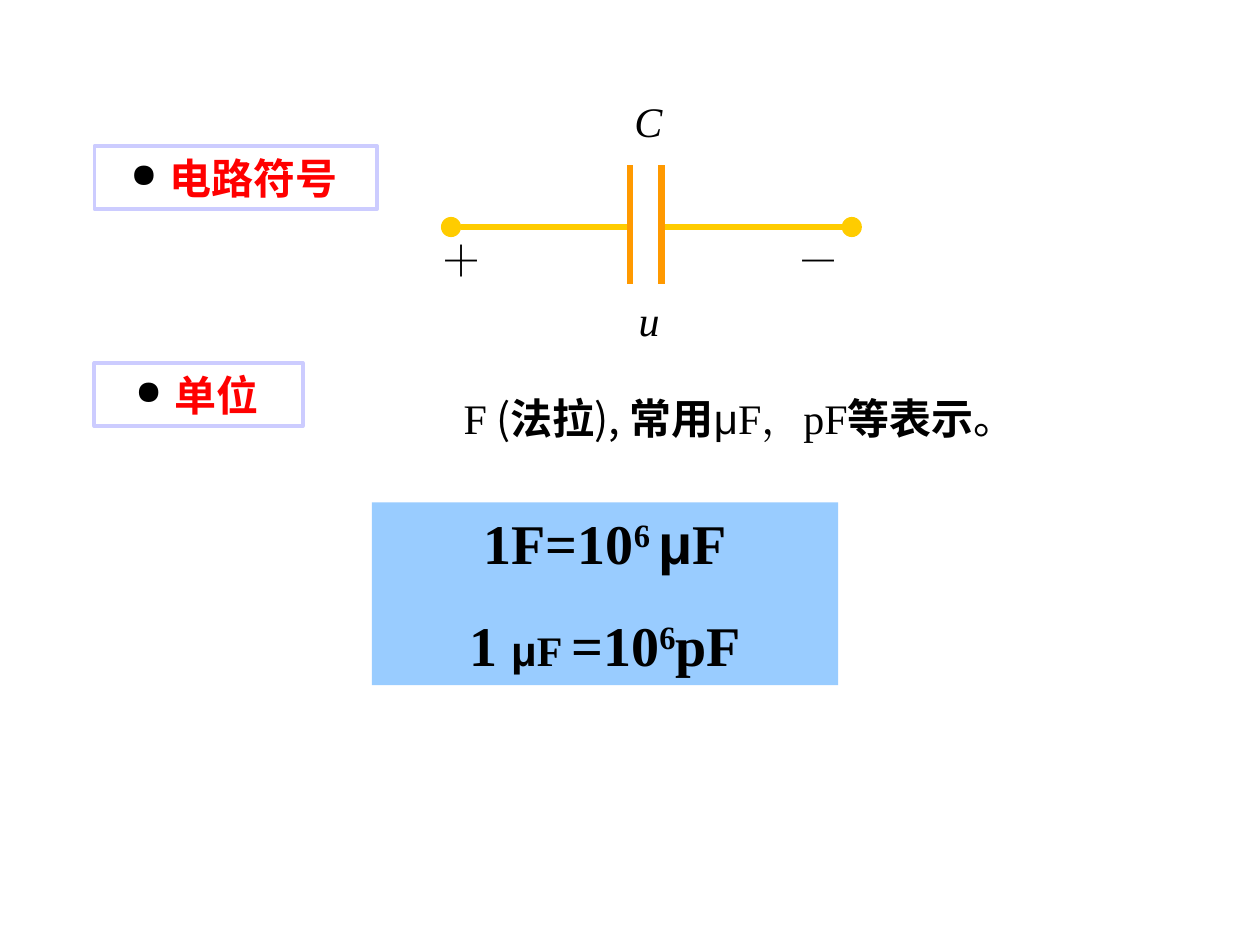
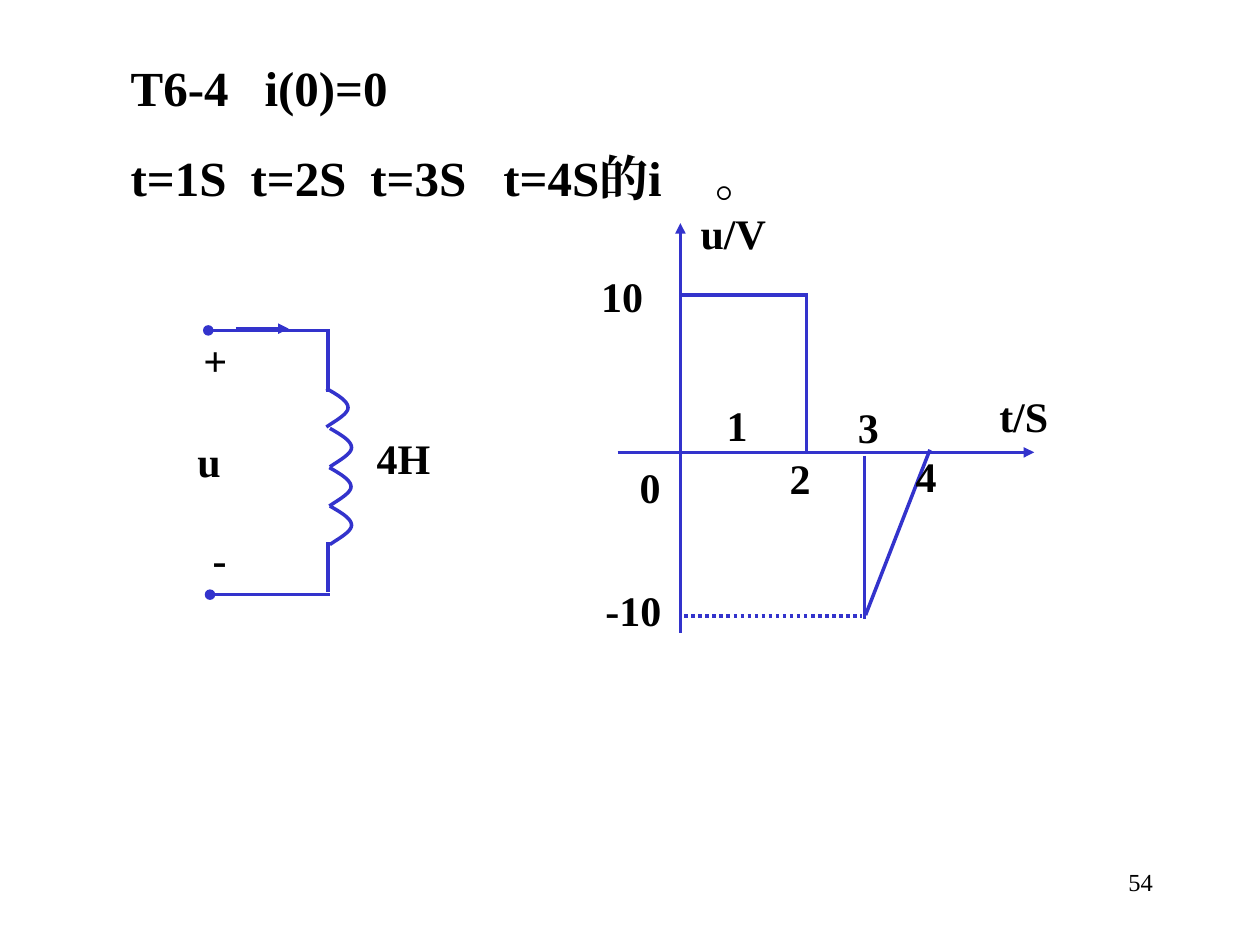
from lxml import etree
from pptx import Presentation
from pptx.dml.color import RGBColor
from pptx.enum import dml, shapes, text
from pptx.oxml import ns
from pptx.util import Pt

SERIF, SANS, CJK = "Times New Roman", "Arial", "Noto Sans CJK SC"
BLACK, RED, GOLD, ORANGE = "000000", "FF0000", "FFCC00", "FF9900"
LAVENDER, SKY, INDIGO = "CCCCFF", "99CCFF", "3333CC"
CENTER, LEFT, RIGHT = text.PP_ALIGN.CENTER, text.PP_ALIGN.LEFT, text.PP_ALIGN.RIGHT
TOP, MIDDLE = text.MSO_ANCHOR.TOP, text.MSO_ANCHOR.MIDDLE


def color(value):
    return RGBColor.from_string(value)


def add_xml(parent, tag, **attributes):
    return etree.SubElement(parent, ns.qn(tag), **attributes)


def style_span(span, size=24, face=SERIF, ink=BLACK, bold=False, italic=False, raised=False):
    span.font.size = Pt(size)
    span.font.name = face
    span.font.bold = bold
    span.font.italic = italic
    span.font.color.rgb = color(ink)
    properties = span._r.get_or_add_rPr()
    add_xml(properties, "a:ea", typeface=CJK if face == CJK else SERIF)
    if raised:
        properties.set("baseline", "30000")


def prepare_frame(box, anchor=TOP):
    frame = box.text_frame
    frame.word_wrap = True
    frame.auto_size = text.MSO_AUTO_SIZE.NONE
    frame.vertical_anchor = anchor
    frame.margin_left = frame.margin_right = Pt(7.2)
    frame.margin_top = frame.margin_bottom = Pt(3.6)
    return frame


def write_spans(para, spans, align=CENTER):
    para.alignment = align
    for words, style in spans:
        span = para.add_run()
        span.text = words
        style_span(span, **style)


def add_label(page, words, left, top, width, height=36, anchor=TOP, align=CENTER, **style):
    box = page.shapes.add_textbox(Pt(left), Pt(top), Pt(width), Pt(height))
    para = prepare_frame(box, anchor).paragraphs[0]
    spans = words if isinstance(words, list) else [(words, style)]
    write_spans(para, spans, align)


def add_block(page, kind, left, top, width, height, fill=None, border=None):
    block = page.shapes.add_shape(kind, Pt(left), Pt(top), Pt(width), Pt(height))
    block.shadow.inherit = False
    if fill:
        block.fill.solid()
        block.fill.fore_color.rgb = color(fill)
    else:
        block.fill.background()
    if border:
        block.line.color.rgb = color(border)
        block.line.width = Pt(2.25)
    else:
        block.line.fill.background()
    return block


def add_topic(page, words, top, width, anchor):
    topic = add_block(page, shapes.MSO_SHAPE.RECTANGLE, 54, top, width, 36, border=LAVENDER)
    para = prepare_frame(topic, anchor).paragraphs[0]
    properties = para._p.get_or_add_pPr()
    bullet_color = add_xml(properties, "a:buClr")
    add_xml(bullet_color, "a:srgbClr", val=BLACK)
    add_xml(properties, "a:buSzPct", val="80000")
    add_xml(properties, "a:buChar", char="●")
    write_spans(para, [(" " + words, dict(face=CJK, ink=RED, bold=True))])


def add_line(page, x1, y1, x2, y2, ink=INDIGO, width=2, head=None, tail=None, dotted=False):
    line = page.shapes.add_connector(
        shapes.MSO_CONNECTOR.STRAIGHT, Pt(x1), Pt(y1), Pt(x2), Pt(y2))
    line.line.color.rgb = color(ink)
    line.line.width = Pt(width)
    if dotted:
        line.line.dash_style = dml.MSO_LINE.ROUND_DOT
    outline = line.line._get_or_add_ln()
    if head:
        add_xml(outline, "a:headEnd", type=head)
    if tail:
        add_xml(outline, "a:tailEnd", type=tail)
    add_xml(line._element.spPr, "a:effectLst")


def bezier(points, steps=12):
    curve = []
    for step in range(1, steps + 1):
        t = step / steps
        weights = ((1 - t) ** 3, 3 * t * (1 - t) ** 2, 3 * t * t * (1 - t), t ** 3)
        curve.append(tuple(sum(w * point[axis] for w, point in zip(weights, points))
                           for axis in (0, 1)))
    return curve


def add_coil_turn(page, left, top):
    upper = [(0, 0), (6, 3.5), (12.4, 7), (12.4, 11)]
    lower = [(12.4, 11), (12.4, 14.5), (6, 18), (0, 22)]
    builder = page.shapes.build_freeform(Pt(left), Pt(top), scale=1)
    builder.add_line_segments(
        [(Pt(left + x), Pt(top + y)) for x, y in bezier(upper) + bezier(lower)], close=False)
    turn = builder.convert_to_shape()
    turn.shadow.inherit = False
    turn.fill.background()
    turn.line.color.rgb = color(INDIGO)
    turn.line.width = Pt(2)


def add_capacitor(page):
    add_label(page, "C", 352, 51, 37, anchor=MIDDLE, italic=True)
    for plate, terminal in ((360, 263.5), (378, 481)):
        add_line(page, plate, 129.5, terminal, 129.5, GOLD, 3.5)
    for left in (252, 481):
        add_block(page, shapes.MSO_SHAPE.OVAL, left, 124, 11.5, 11.5, fill=GOLD)
    for plate in (360, 378):
        add_line(page, plate, 94.5, plate, 162, ORANGE, 4)
    add_label(page, "＋", 241, 130.5, 45)
    add_label(page, "－", 445, 130.5, 45)
    add_label(page, "u", 348.5, 165, 45, italic=True)


def add_conversions(page):
    panel = add_block(page, shapes.MSO_SHAPE.RECTANGLE, 212.5, 287, 266.5, 104.5, fill=SKY)
    frame = prepare_frame(panel)
    big = dict(size=32, bold=True)
    power = dict(big, raised=True)
    write_spans(frame.paragraphs[0], [
        ("1F=10", big), ("6 ", power), ("μ", dict(big, face=SANS)), ("F", big)])
    second = frame.add_paragraph()
    second.space_before = Pt(20)
    write_spans(second, [
        ("1 ", big), ("μ", dict(face=SANS, bold=True)), ("F ", dict(bold=True)),
        ("=10", big), ("6", power), ("pF", big)])


def build_capacitor_page(deck):
    page = deck.slides.add_slide(deck.slide_layouts[6])
    add_topic(page, "电路符号", 83.5, 161.5, MIDDLE)
    add_capacitor(page)
    cjk, strong = dict(face=CJK), dict(face=CJK, bold=True)
    add_label(page, [
        ("F", {}), (" (", cjk), ("法拉", strong), ("), ", cjk), ("常用", strong),
        ("μ", dict(face=SANS)), ("F，pF", {}), ("等表示", strong), ("。", cjk)],
        196, 220.5, 453.5, anchor=MIDDLE)
    add_topic(page, "单位", 207.5, 119, TOP)
    add_conversions(page)


def fill_problem_title(page):
    title = page.shapes.title
    title.left, title.top, title.width, title.height = Pt(67.5), Pt(29.5), Pt(552), Pt(92)
    frame = prepare_frame(title)
    frame.text = "T6-4\ti(0)=0\nt=1S\tt=2S\tt=3S\tt=4S的i\t。"
    for para, stops in zip(frame.paragraphs, ((76.5,), (68.5, 137, 213, 334))):
        para.alignment = LEFT
        tabs = add_xml(para._p.get_or_add_pPr(), "a:tabLst")
        for stop in stops:
            add_xml(tabs, "a:tab", pos=str(Pt(stop)), algn="l")
        for span in para.runs:
            style_span(span, size=28, bold=True)
    frame.paragraphs[1].space_before = Pt(17.5)


def add_voltage_graph(page):
    add_line(page, 353, 258.5, 591, 258.5, tail="triangle")
    add_line(page, 388.8, 361.5, 388.8, 127.5, tail="triangle")
    for ends in ((388.8, 168.5, 461.5, 168.5), (460.8, 168.5, 460.8, 258.5),
                 (494, 260.5, 494, 353.5), (531.4, 257, 494.6, 351.5)):
        add_line(page, *ends)
    add_line(page, 391, 352, 492.5, 352, dotted=True)
    for words, left, top, width in (
            ("u/V", 381, 115, 76), ("t/S", 547, 219.5, 76), ("10", 327, 151, 57),
            ("-10", 333.5, 330.5, 57), ("0", 333.5, 260, 76), ("1", 404, 224.5, 34.5),
            ("2", 440, 255, 34.5), ("3", 479, 226, 34.5), ("4", 512, 254, 34.5)):
        add_label(page, words, left, top, width, bold=True)


def add_inductor(page):
    add_line(page, 119, 188.8, 188.5, 188.8, head="oval")
    add_line(page, 187.3, 188.8, 187.3, 224)
    for left, top in ((186.5, 222), (188.5, 244.8), (188.2, 267.2), (188.5, 289.2)):
        add_coil_turn(page, left, top)
    add_line(page, 187.3, 310, 187.3, 338.5)
    add_line(page, 120, 339.8, 188.5, 339.8, head="oval")
    add_line(page, 134.8, 187.8, 165, 187.8, tail="triangle")
    for words, left, top in (("4H", 202, 243.5), ("u", 91, 245.5),
                             ("+", 94.5, 187.5), ("-", 97, 301.5)):
        add_label(page, words, left, top, 57, bold=True)


def build_inductor_page(deck):
    page = deck.slides.add_slide(deck.slide_layouts[5])
    fill_problem_title(page)
    add_label(page, "54", 516, 492, 150, align=RIGHT, size=14)
    add_voltage_graph(page)
    add_inductor(page)


def main():
    deck = Presentation()
    deck.slide_width, deck.slide_height = Pt(720), Pt(540)
    build_capacitor_page(deck)
    build_inductor_page(deck)
    deck.save("out.pptx")


if __name__ == "__main__":
    main()
